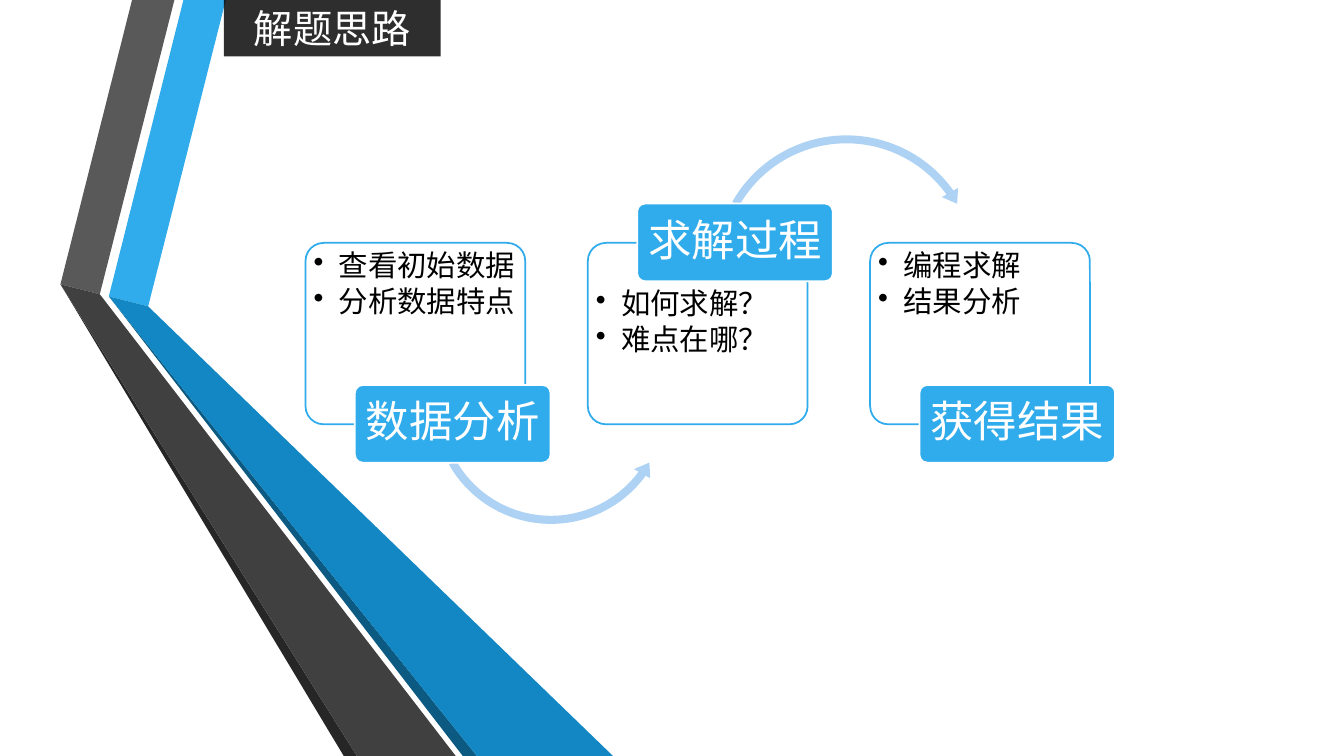
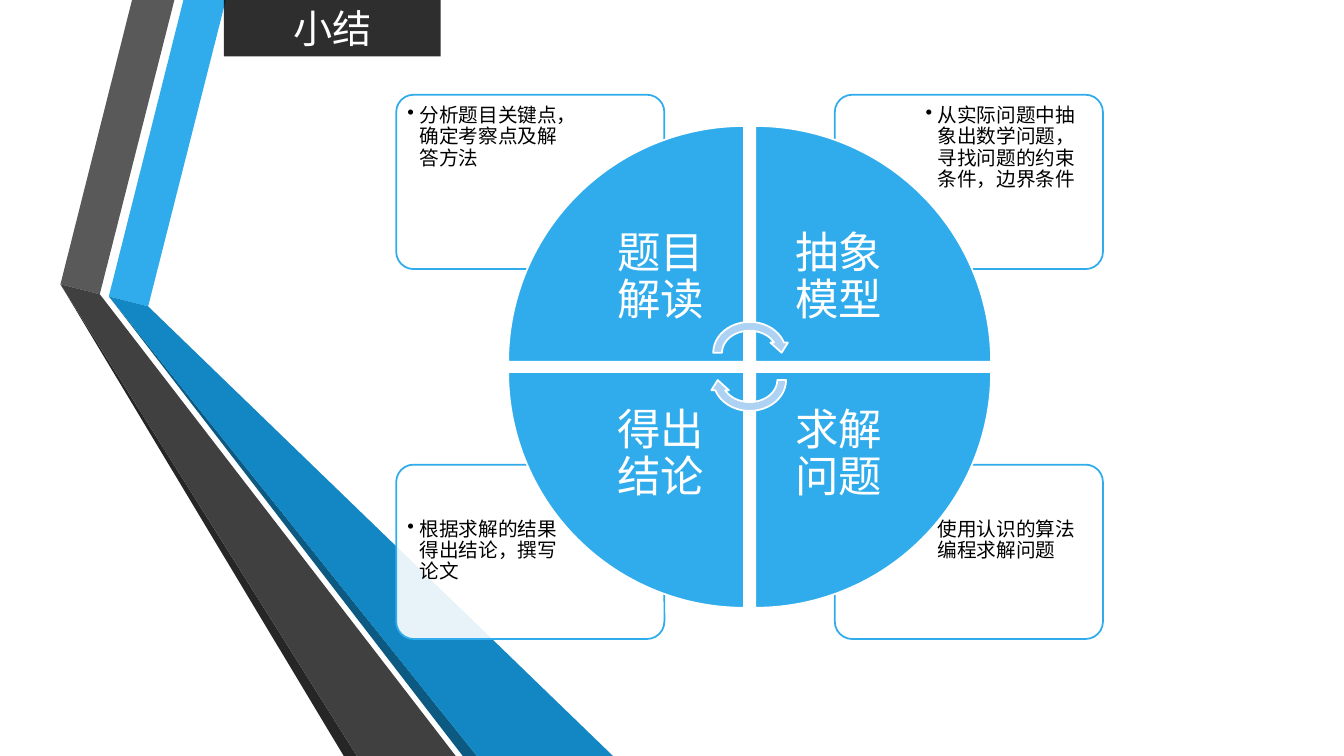
from dataclasses import dataclass

from lxml import etree
from pptx import Presentation
from pptx.dml.color import RGBColor
from pptx.enum.shapes import MSO_SHAPE as Preset
from pptx.enum.text import MSO_ANCHOR as Anchor, PP_ALIGN as Align
from pptx.oxml.ns import qn
from pptx.util import Inches, Pt


@dataclass(frozen=True)
class Theme:
    font: str = "Cabin"
    blue: str = "30ACEC"
    deep_blue: str = "1287C3"
    navy: str = "0C5A82"
    pale_blue: str = "AED2F4"
    grey: str = "595959"
    dark_grey: str = "404040"
    charcoal: str = "262626"
    black: str = "000000"
    white: str = "FFFFFF"
    title_size: int = 28
    label_size: int = 31
    bullet_size: int = 21
    note_size: int = 14
    outline: float = 1.25
    corner: float = 0.1
    line_spacing: float = 0.9


THEME = Theme()

RIBBONS = [
    (THEME.blue, [(1.08, 2.94), (1.47, 3.04), (2.24, 0), (1.82, 0)]),
    (THEME.grey, [(0.99, 2.92), (1.73, 0), (1.31, 0), (0.6, 2.82)]),
    (THEME.charcoal, [(0.6, 2.82), (3.41, 7.5), (3.54, 7.5)]),
    (THEME.navy, [(4.73, 7.5), (1.08, 2.94), (4.59, 7.5)]),
    (THEME.deep_blue, [(1.08, 2.94), (4.73, 7.5), (6.08, 7.5), (1.47, 3.04)]),
    (THEME.dark_grey, [(4.52, 7.5), (1.06, 3.01), (0.99, 2.92), (0.6, 2.82), (3.54, 7.5)]),
]

# Heading, bullets, whether the label sits on the top edge
STEPS = [
    ("数据分析", ["查看初始数据", "分析数据特点"], False),
    ("求解过程", ["如何求解？", "难点在哪？"], True),
    ("获得结果", ["编程求解", "结果分析"], False),
]

# Clockwise from the top left: column, row, heading, note
QUADRANTS = [
    (0, 0, "题目解读", "分析题目关键点，确定考察点及解答方法"),
    (1, 0, "抽象模型", "从实际问题中抽象出数学问题，寻找问题的约束条件，边界条件"),
    (1, 1, "求解问题", "使用认识的算法编程求解问题"),
    (0, 1, "得出结论", "根据求解的结果得出结论，撰写论文"),
]


class Deck:
    def __init__(self, theme):
        self.theme = theme
        self.presentation = Presentation()
        self.presentation.slide_width = Inches(13.33)
        self.presentation.slide_height = Inches(7.5)
        self.slide = None

    def new_slide(self, title):
        """Start a slide with the shared ribbons and title band."""
        theme = self.theme
        self.slide = self.presentation.slides.add_slide(self.presentation.slide_layouts[6])
        for color, points in RIBBONS:
            self.ribbon(color, points)
        band = self.shape(Preset.RECTANGLE, 2.22, 0, 2.15, 0.56, theme.black, opacity=82)
        self.fill_frame(band.text_frame, [title], theme.title_size, theme.white,
                        insets=(0.1, 0.05), spacing=1, after=0)

    def paint(self, shape, fill, line=None, opacity=100):
        shape.shadow.inherit = False
        shape.fill.solid()
        shape.fill.fore_color.rgb = RGBColor.from_string(fill)
        if opacity < 100:
            color = shape.fill._xPr.find(qn("a:solidFill"))[0]
            etree.SubElement(color, qn("a:alpha"), val=str(opacity * 1000))
        if line:
            shape.line.color.rgb = RGBColor.from_string(line)
            shape.line.width = Pt(self.theme.outline)
        else:
            shape.line.fill.background()

    def ribbon(self, color, points):
        start, *rest = [(Inches(x), Inches(y)) for x, y in points]
        builder = self.slide.shapes.build_freeform(*start)
        builder.add_line_segments(rest, close=True)
        self.paint(builder.convert_to_shape(), color)

    def shape(self, preset, left, top, width, height, fill, line=None,
              opacity=100, adjustments=(), rotation=0):
        shape = self.slide.shapes.add_shape(
            preset, Inches(left), Inches(top), Inches(width), Inches(height))
        for index, value in enumerate(adjustments):
            shape.adjustments[index] = value
        shape.rotation = rotation
        self.paint(shape, fill, line, opacity)
        return shape

    def card(self, left, top, width, height):
        self.shape(Preset.ROUNDED_RECTANGLE, left, top, width, height, self.theme.white,
                   self.theme.blue, opacity=90, adjustments=[self.theme.corner])

    def label(self, left, top, text):
        theme = self.theme
        shape = self.shape(Preset.ROUNDED_RECTANGLE, left, top, 1.94, 0.77, theme.blue,
                           theme.white, adjustments=[theme.corner])
        self.fill_frame(shape.text_frame, [text], theme.label_size, theme.white, (0.06, 0.04))

    def arrow(self, preset, left, top, width, height, line=None, adjustments=(), rotation=0):
        self.shape(preset, left, top, width, height, self.theme.pale_blue, line,
                   adjustments=adjustments, rotation=rotation)

    def text(self, left, top, width, height, lines, size, color, insets, indent=0):
        box = self.slide.shapes.add_textbox(
            Inches(left), Inches(top), Inches(width), Inches(height))
        self.fill_frame(box.text_frame, lines, size, color, insets, indent)

    def fill_frame(self, frame, lines, size, color, insets, indent=0, spacing=None, after=None):
        """Set centred text, or bullets from the top when indent is set."""
        frame.word_wrap = True
        frame.margin_left = frame.margin_right = Inches(insets[0])
        frame.margin_top = frame.margin_bottom = Inches(insets[1])
        frame.vertical_anchor = Anchor.TOP if indent else Anchor.MIDDLE
        if after is None:
            after = 0.15 if indent else 0.35
        for index, line in enumerate(lines):
            paragraph = frame.add_paragraph() if index else frame.paragraphs[0]
            paragraph.alignment = Align.LEFT if indent else Align.CENTER
            paragraph.line_spacing = spacing or self.theme.line_spacing
            paragraph.space_after = Pt(size * after)
            if indent:
                self.bullet(paragraph, indent)
            run = paragraph.add_run()
            run.text = line
            run.font.name = self.theme.font
            run.font.size = Pt(size)
            run.font.color.rgb = RGBColor.from_string(color)

    def bullet(self, paragraph, indent):
        properties = paragraph._p.get_or_add_pPr()
        properties.set("marL", str(Inches(indent)))
        properties.set("indent", str(-Inches(indent)))
        etree.SubElement(properties, qn("a:buChar"), char="•")


def build_approach(deck):
    theme = deck.theme
    deck.new_slide("解题思路")
    deck.arrow(Preset.LEFT_CIRCULAR_ARROW, 4.25, 2.82, 2.43, 2.43,
               adjustments=[0.033, 4.045, 21.8, 90.245, 0.038])
    deck.arrow(Preset.CIRCULAR_ARROW, 7.04, 1.29, 2.71, 2.71,
               adjustments=[0.029, 3.601, 194.644, 125.755, 0.034])
    for index, (heading, bullets, label_on_top) in enumerate(STEPS):
        left = 3.03 + 2.8 * index
        deck.card(left, 2.41, 2.18, 1.8)
        deck.text(left + 0.04, 2.83 if label_on_top else 2.45, 2.1, 1.33, bullets,
                  theme.bullet_size, theme.black, (0.04, 0.04), indent=0.25)
        deck.label(left + 0.49, 2.02 if label_on_top else 3.82, heading)


def build_summary(deck):
    theme = deck.theme
    deck.new_slide("小结")
    for column, row, _, note in QUADRANTS:
        deck.card(3.93 + 4.35 * column, 0.94 + 3.67 * row, 2.66, 1.73)
        deck.text(3.97 + 5.14 * column, 0.98 + 4.1 * row, 1.79, 1.22, [note],
                  theme.note_size, theme.black, (0.07, 0.07), indent=0.12)
    for turn, (column, row, heading, _) in enumerate(QUADRANTS):
        deck.shape(Preset.PIE_WEDGE, 5.04 + 2.45 * column, 1.25 + 2.44 * row, 2.34, 2.34,
                   theme.blue, theme.white, rotation=90 * turn)
        deck.text(5.73 + 1.76 * column, 1.93 + 1.76 * row, 1.65, 1.65, [heading],
                  theme.label_size, theme.white, (0.24, 0.24))
    for top, rotation in ((3.15, 0), (3.42, 180)):
        deck.arrow(Preset.CIRCULAR_ARROW, 7.03, top, 0.81, 0.7, theme.white, rotation=rotation)


def main():
    deck = Deck(THEME)
    build_approach(deck)
    build_summary(deck)
    deck.presentation.save("out.pptx")


if __name__ == "__main__":
    main()
